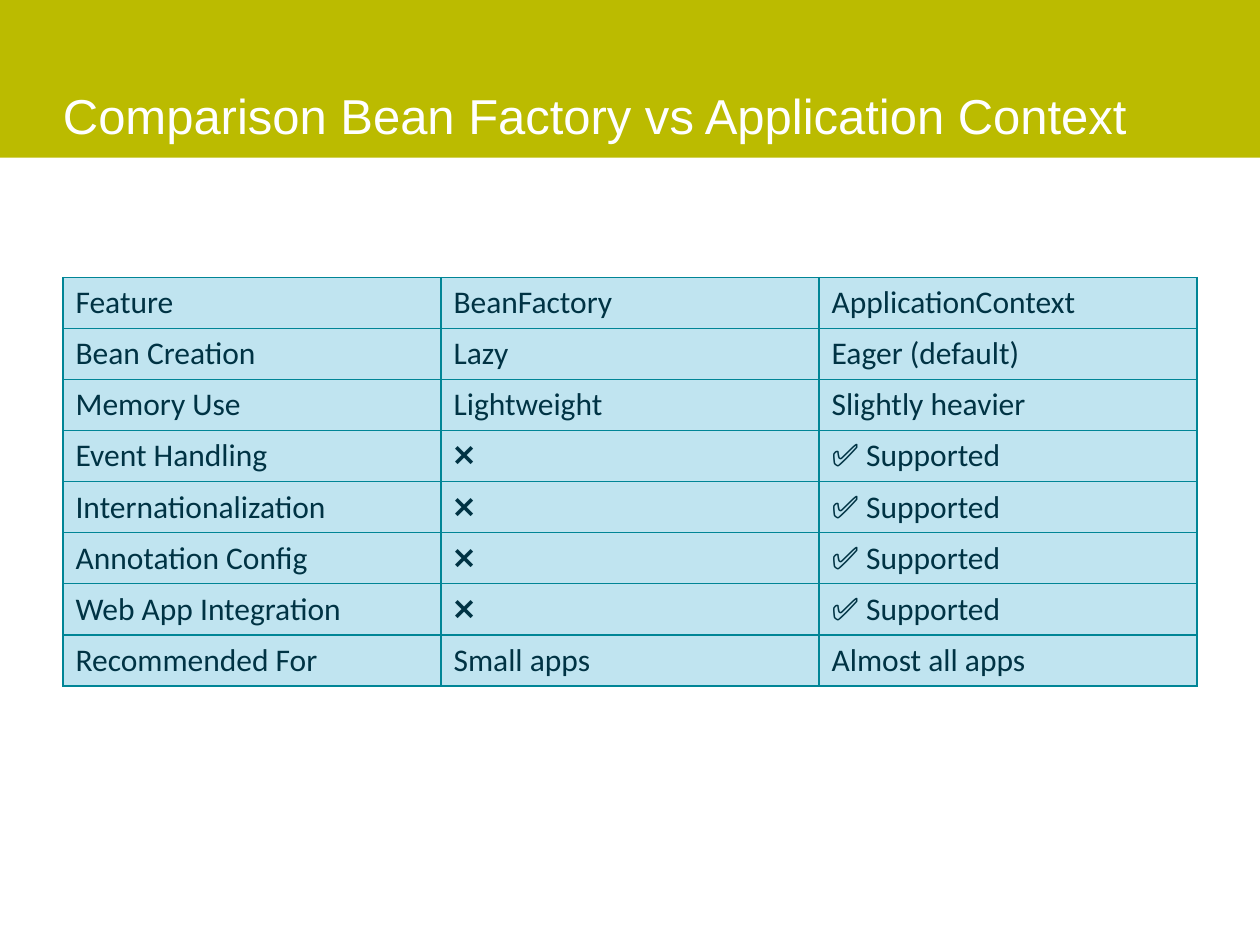
from dataclasses import dataclass

from lxml.etree import SubElement
from pptx import Presentation
from pptx.dml.color import RGBColor
from pptx.enum.shapes import MSO_SHAPE as Shape
from pptx.enum.text import MSO_ANCHOR as Anchor
from pptx.oxml.ns import qn
from pptx.slide import Slide
from pptx.table import _Cell as Cell
from pptx.text.text import _Paragraph as Paragraph
from pptx.util import Cm, Pt


@dataclass(frozen=True)
class Theme:
    """Colours, fonts and sizes of the slide."""

    band: str = "BBBB00"
    title_text: str = "FFFFFF"
    cell_fill: str = "C0E4F0"
    cell_text: str = "003344"
    border: str = "008596"
    title_font: str = "Arial"
    cell_font: str = "Calibri"
    title_size: float = 28
    cell_size: float = 18
    border_width: float = 0.75


@dataclass(frozen=True)
class Feature:
    """One row of the comparison."""

    name: str
    bean_factory: str
    application_context: str


THEME = Theme()
NO, YES = "❌", "✅ Supported"
FEATURES = [
    Feature("Feature", "BeanFactory", "ApplicationContext"),
    Feature("Bean Creation", "Lazy", "Eager (default)"),
    Feature("Memory Use", "Lightweight", "Slightly heavier"),
    *(
        Feature(name, NO, YES)
        for name in (
            "Event Handling",
            "Internationalization",
            "Annotation Config",
            "Web App Integration",
        )
    ),
    Feature("Recommended For", "Small apps", "Almost all apps"),
]
MARGIN, COLUMN_WIDTH, ROW_HEIGHT = Cm(1.27), Cm(7.62), Cm(1.03)


def write(paragraph: Paragraph, text: str, font: str, size: float, color: str) -> None:
    """Put formatted text in a paragraph."""
    run = paragraph.add_run()
    run.text = text
    for name, value in {"name": font, "size": Pt(size)}.items():
        setattr(run.font, name, value)
    run.font.color.rgb = RGBColor.from_string(color)


def draw_header(slide: Slide, width: int, title: str) -> None:
    """Draw the coloured band and its title."""
    band = slide.shapes.add_shape(Shape.RECTANGLE, 0, 0, width, Cm(3.18))
    band.shadow.inherit = False
    band.fill.solid()
    band.fill.fore_color.rgb = RGBColor.from_string(THEME.band)
    band.line.fill.background()
    box = slide.shapes.add_textbox(MARGIN, Cm(0.51), width - 2 * MARGIN, Cm(2.41))
    frame_format = {
        "word_wrap": True,
        "vertical_anchor": Anchor.BOTTOM,
        "margin_left": 0,
        "margin_top": 0,
        "margin_right": 0,
        "margin_bottom": 0,
    }
    for name, value in frame_format.items():
        setattr(box.text_frame, name, value)
    write(box.text_frame.paragraphs[0], title, THEME.title_font, THEME.title_size, THEME.title_text)


def draw_borders(cell: Cell) -> None:
    """Outline a cell on all four sides."""
    properties = cell._tc.get_or_add_tcPr()
    for index, side in enumerate(("lnL", "lnR", "lnT", "lnB")):
        line = SubElement(properties, qn(f"a:{side}"), w=str(Pt(THEME.border_width)))
        properties.insert(index, line)
        fill = SubElement(line, qn("a:solidFill"))
        SubElement(fill, qn("a:srgbClr"), val=THEME.border)


def draw_table(slide: Slide, features: list[Feature]) -> None:
    """Draw the comparison table."""
    table = slide.shapes.add_table(
        len(features), 3, MARGIN, Cm(5.59), 3 * COLUMN_WIDTH, len(features) * ROW_HEIGHT
    ).table
    for name in ("first_row", "horz_banding"):
        setattr(table, name, False)
    for column in table.columns:
        column.width = COLUMN_WIDTH
    for row, feature in zip(table.rows, features):
        row.height = ROW_HEIGHT
        texts = (feature.name, feature.bean_factory, feature.application_context)
        for cell, text in zip(row.cells, texts):
            cell.vertical_anchor = Anchor.MIDDLE
            cell.fill.solid()
            cell.fill.fore_color.rgb = RGBColor.from_string(THEME.cell_fill)
            draw_borders(cell)
            write(
                cell.text_frame.paragraphs[0],
                text,
                THEME.cell_font,
                THEME.cell_size,
                THEME.cell_text,
            )


def main() -> None:
    """Build and save the presentation."""
    presentation = Presentation()
    for name, value in {"slide_width": Cm(25.4), "slide_height": Cm(19.05)}.items():
        setattr(presentation, name, value)
    slide = presentation.slides.add_slide(presentation.slide_layouts[6])
    draw_header(slide, presentation.slide_width, "Comparison Bean Factory vs Application Context")
    draw_table(slide, FEATURES)
    presentation.save("out.pptx")


if __name__ == "__main__":
    main()
